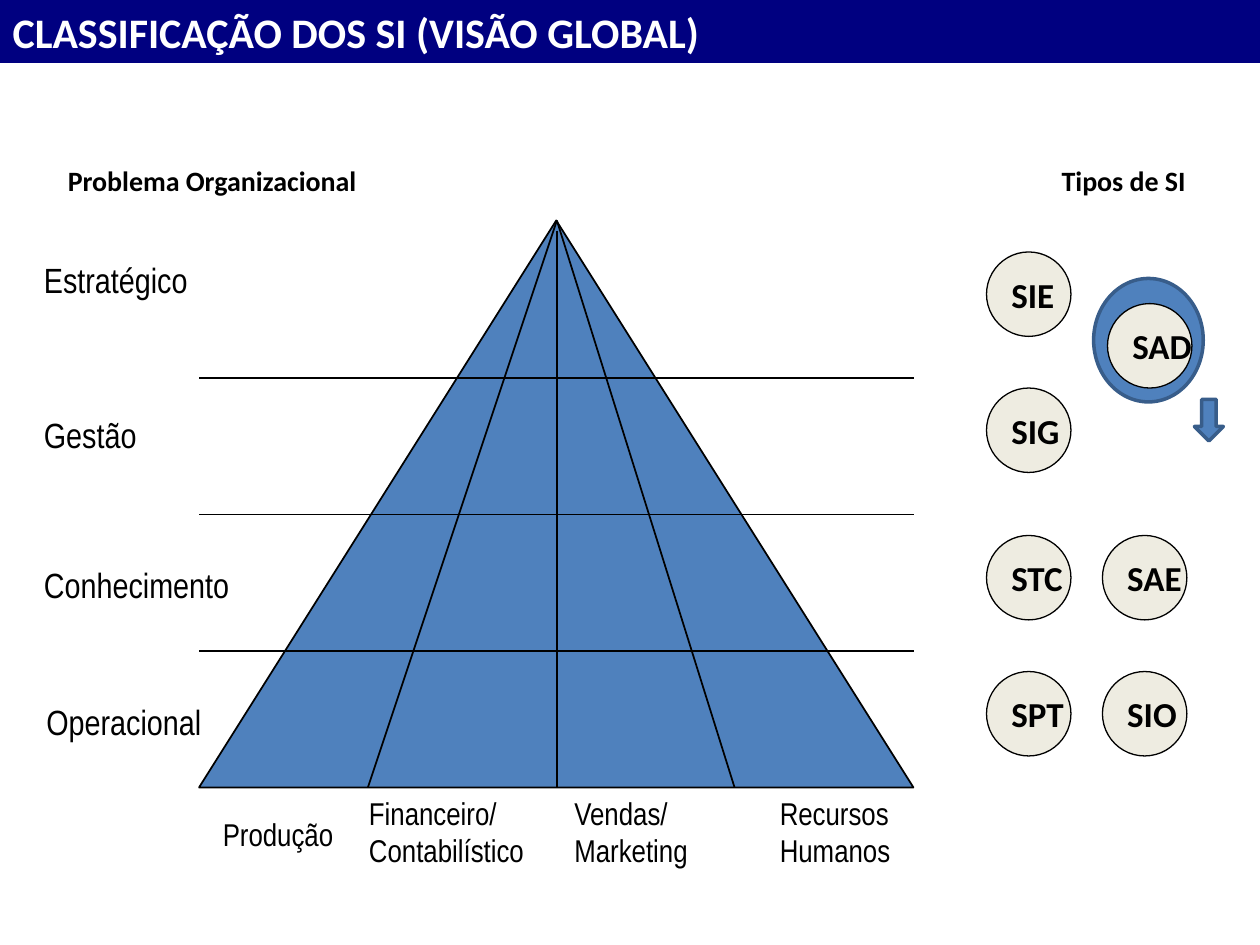
"""Build the slide that classes information systems by level and area."""
from typing import NamedTuple

from lxml import etree
from pptx import Presentation
from pptx.dml.color import RGBColor
from pptx.enum.shapes import MSO_CONNECTOR, MSO_SHAPE
from pptx.enum.text import MSO_ANCHOR, MSO_AUTO_SIZE, PP_ALIGN
from pptx.oxml.ns import qn
from pptx.util import Inches, Pt

OVAL = MSO_SHAPE.OVAL
PEAK = MSO_SHAPE.FLOWCHART_EXTRACT
ARROW = MSO_SHAPE.DOWN_ARROW
LINE = MSO_CONNECTOR.STRAIGHT
MIDDLE = MSO_ANCHOR.MIDDLE
GROW = MSO_AUTO_SIZE.SHAPE_TO_FIT_TEXT
FIXED = MSO_AUTO_SIZE.NONE
LEFT, RIGHT = PP_ALIGN.LEFT, PP_ALIGN.RIGHT

BLACK = RGBColor(0x00, 0x00, 0x00)
WHITE = RGBColor(0xFF, 0xFF, 0xFF)
NAVY = RGBColor(0x00, 0x00, 0x80)
BLUE = RGBColor(0x4F, 0x81, 0xBD)
STEEL = RGBColor(0x38, 0x5D, 0x8A)
CREAM = RGBColor(0xEE, 0xEC, 0xE1)

AREA = {"name": "Arial Narrow", "size": Pt(18), "bold": False}
LEVEL = {"name": "Arial Narrow", "size": Pt(20), "bold": False}
HEAD = {"name": "Calibri", "size": Pt(16), "bold": True}
CODE = {"name": "Calibri", "size": Pt(20), "bold": True}
TITLE = {"name": "Calibri", "size": Pt(24), "bold": True}

BASE_L, BASE_R, TOP, BASE = 1.58, 7.25, 1.75, 6.25
MID = 4.42
FIRST, STEP = 3, 13 / 12
DISC = 0.67


class Label(NamedTuple):
    """A text box with its place and format."""
    text: str
    x: float
    y: float
    w: float
    h: float
    form: dict
    wrap: bool = False
    align: PP_ALIGN = LEFT


class Disc(NamedTuple):
    """A round mark for one type of system."""
    text: str
    x: float
    y: float


LABELS = [
    Label("Produção", 1.67, 6.42, 1.1, 0.4, AREA, True),
    Label("Financeiro/\nContabilístico", 2.83, BASE, 1.58, 0.7, AREA, True),
    Label("Vendas/\nMarketing", 4.46, BASE, 1.31, 0.7, AREA, True),
    Label("Recursos\nHumanos", 6.09, BASE, 1.12, 0.7, AREA),
    Label("Estratégico", 0.25, 2, 1.38, 0.44, LEVEL),
    Label("Gestão", 0.25, 3.23, 0.98, 0.44, LEVEL),
    Label("Conhecimento", 0.25, 4.42, 1.71, 0.44, LEVEL),
    Label("Operacional", 0.27, 5.51, 1.47, 0.44, LEVEL),
    Label("Problema Organizacional", 0.44, 1.25, 2.54, 0.37, HEAD),
    Label("Tipos de SI", 8.28, 1.25, 1.23, 0.37, HEAD, align=RIGHT),
]
DISCS = [
    Disc("SIE", 7.83, 2),
    Disc("SIG", 7.83, 3.08),
    Disc("STC", 7.83, 4.25),
    Disc("SPT", 7.83, 5.33),
    Disc("SAD", 8.79, 2.41),
    Disc("SAE", 8.75, 4.25),
    Disc("SIO", 8.75, 5.33),
]


def write(frame, text: str, form: dict, color: RGBColor = BLACK,
          align: PP_ALIGN = LEFT) -> None:
    """Fill a text frame and format each of its paragraphs."""
    frame.text = text
    for para in frame.paragraphs:
        para.alignment = align
        for key, value in form.items():
            setattr(para.font, key, value)
        para.font.color.rgb = color


def add_label(shapes, label: Label) -> None:
    """Draw one text box."""
    box = shapes.add_textbox(*map(Inches, label[1:5]))
    write(box.text_frame, label.text, label.form, align=label.align)
    box.text_frame.word_wrap = label.wrap
    box.text_frame.auto_size = GROW


def add_form(shapes, kind: MSO_SHAPE, place: tuple, fill: RGBColor,
             edge: RGBColor, width: float):
    """Draw one filled and outlined preset shape."""
    shape = shapes.add_shape(kind, *map(Inches, place))
    shape.shadow.inherit = False
    shape.fill.solid()
    shape.fill.fore_color.rgb = fill
    shape.line.color.rgb = edge
    shape.line.width = Pt(width)
    return shape


def add_line(shapes, start: tuple, end: tuple, width: float) -> None:
    """Draw one straight black line."""
    line = shapes.add_connector(LINE, *map(Inches, start + end))
    line.line.color.rgb = BLACK
    line.line.width = Pt(width)
    etree.SubElement(line._element.spPr, qn("a:effectLst"))


def add_disc(shapes, disc: Disc) -> None:
    """Draw one round mark with its code."""
    place = (disc.x, disc.y, DISC, DISC)
    shape = add_form(shapes, OVAL, place, CREAM, BLACK, 0.75)
    frame = shape.text_frame
    write(frame, disc.text, CODE)
    frame.word_wrap = False
    frame.vertical_anchor = MIDDLE


def add_title(shapes) -> None:
    """Turn the title placeholder into the top band."""
    title = shapes.title
    place = {"left": 0, "top": 0, "width": 10, "height": 0.5}
    for key, value in place.items():
        setattr(title, key, Inches(value))
    title.fill.solid()
    title.fill.fore_color.rgb = NAVY
    frame = title.text_frame
    write(frame, "CLASSIFICAÇÃO DOS SI (VISÃO GLOBAL)", TITLE, WHITE)
    frame.auto_size = FIXED
    frame.vertical_anchor = MIDDLE


def main() -> None:
    """Build and save the slide."""
    deck = Presentation()
    deck.slide_width, deck.slide_height = Inches(10), Inches(7.5)
    shapes = deck.slides.add_slide(deck.slide_layouts[5]).shapes
    add_title(shapes)
    add_form(shapes, OVAL, (8.68, 2.21, 0.87, 0.98), BLUE, STEEL, 2)
    peak = (BASE_L, TOP, BASE_R - BASE_L, BASE - TOP)
    add_form(shapes, PEAK, peak, BLUE, BLACK, 1)
    for foot, head in ((2.92, TOP), (MID, 1.83), (5.83, TOP)):
        add_line(shapes, (MID, head), (foot, BASE), 1)
    for row in range(3):
        y = FIRST + row * STEP
        add_line(shapes, (BASE_L, y), (BASE_R, y), 0.75)
    for label in LABELS:
        add_label(shapes, label)
    for disc in DISCS:
        add_disc(shapes, disc)
    add_form(shapes, ARROW, (9.48, 3.17, 0.23, 0.33), BLUE, STEEL, 2)
    deck.save("out.pptx")


if __name__ == "__main__":
    main()
